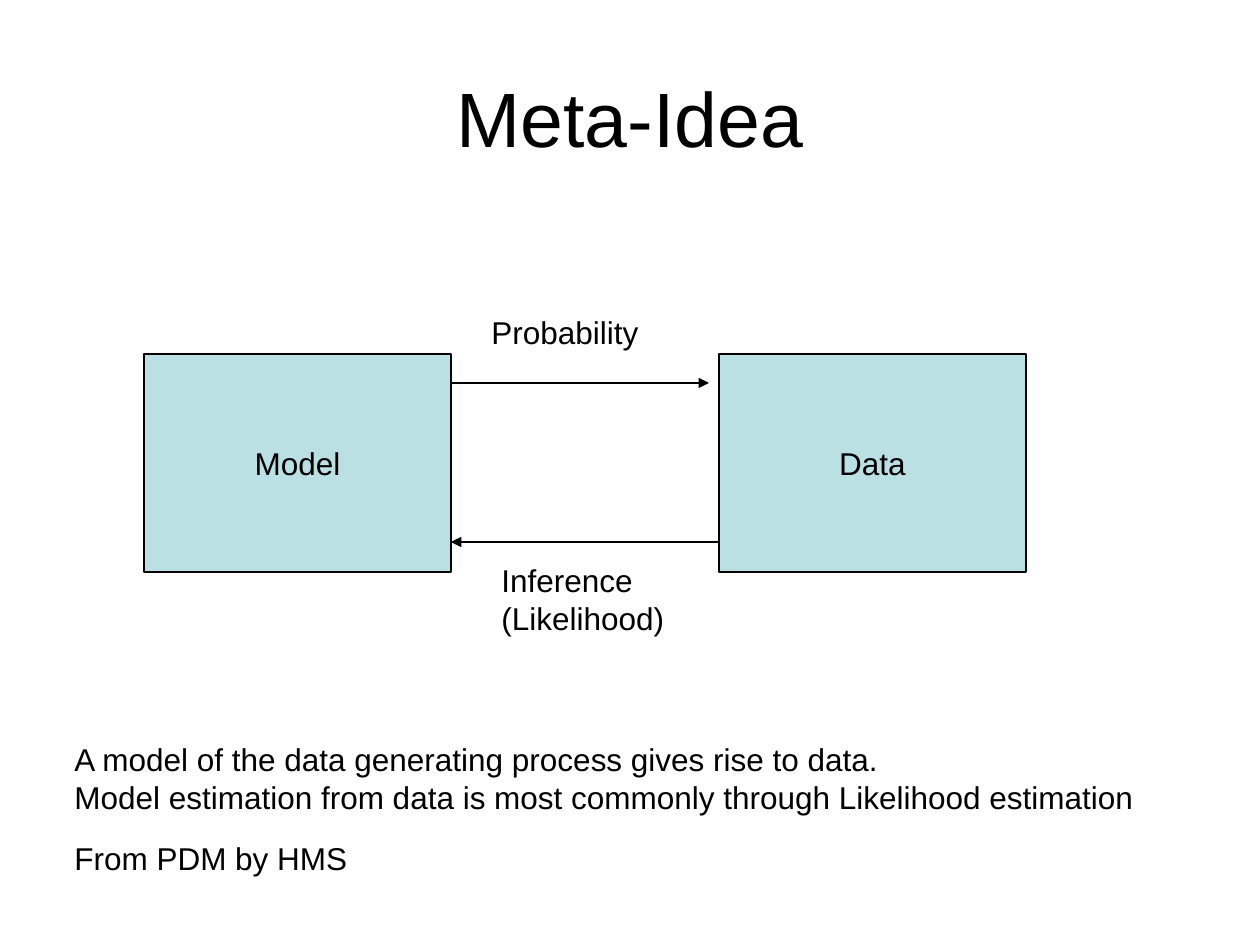
from dataclasses import dataclass

from lxml import etree
from pptx import Presentation
from pptx.dml.color import RGBColor
from pptx.enum import shapes, text
from pptx.oxml.ns import qn
from pptx.util import Emu, Pt

PX = 914400 / 126
BLACK = "000000"
FILL = "BBE0E3"
FONT = "Arial"
BOX_TOP, BOX_W, BOX_H = 354, 307, 218


@dataclass
class Box:
    left: int
    label: str


@dataclass
class Arrow:
    start: int
    end: int
    y: int


@dataclass
class Label:
    left: int
    top: int
    width: int
    height: int
    lines: tuple[str, ...]


BOXES = [Box(144, "Model"), Box(719, "Data")]
ARROWS = [Arrow(451, 709, 383), Arrow(719, 451, 542)]
LABELS = [
    Label(479, 307, 176, 50, ("Probability",)),
    Label(489, 555, 192, 88, ("Inference", "(Likelihood)")),
    Label(62, 833, 304, 50, ("From PDM by HMS",)),
    Label(62, 734, 1088, 88, (
        "A model of the data generating process gives rise to data.",
        "Model estimation from data is most commonly through Likelihood estimation",
    )),
]


def px(*values: int) -> list[Emu]:
    return [Emu(round(v * PX)) for v in values]


def color(value: str) -> RGBColor:
    return RGBColor.from_string(value)


def write(tf, lines: tuple[str, ...], size: int, align, anchor) -> None:
    tf.vertical_anchor = anchor
    for i, line in enumerate(lines):
        p = tf.add_paragraph() if i else tf.paragraphs[0]
        p.alignment = align
        r = p.add_run()
        r.text = line
        r.font.name = FONT
        r.font.size = Pt(size)
        r.font.color.rgb = color(BLACK)


def outline(line) -> None:
    line.color.rgb = color(BLACK)
    line.width = Pt(0.75)


def draw_title(s, title: str) -> None:
    sp = s.shapes.title
    sp.left, sp.top, sp.width, sp.height = px(63, 38, 1134, 157)
    write(sp.text_frame, (title,), 44, text.PP_ALIGN.CENTER, text.MSO_ANCHOR.MIDDLE)


def draw_box(s, box: Box) -> None:
    sp = s.shapes.add_shape(shapes.MSO_SHAPE.RECTANGLE, *px(box.left, BOX_TOP, BOX_W, BOX_H))
    sp.shadow.inherit = False
    sp.fill.solid()
    sp.fill.fore_color.rgb = color(FILL)
    outline(sp.line)
    sp.text_frame.word_wrap = False
    write(sp.text_frame, (box.label,), 18, text.PP_ALIGN.CENTER, text.MSO_ANCHOR.MIDDLE)


def draw_arrow(s, arrow: Arrow) -> None:
    sp = s.shapes.add_connector(
        shapes.MSO_CONNECTOR.STRAIGHT, *px(arrow.start, arrow.y, arrow.end, arrow.y))
    outline(sp.line)
    etree.SubElement(sp.line._get_or_add_ln(), qn("a:tailEnd"), type="triangle")
    etree.SubElement(sp._element.spPr, qn("a:effectLst"))


def draw_label(s, label: Label) -> None:
    sp = s.shapes.add_textbox(*px(label.left, label.top, label.width, label.height))
    tf = sp.text_frame
    tf.word_wrap = False
    tf.auto_size = text.MSO_AUTO_SIZE.NONE
    write(tf, label.lines, 18, text.PP_ALIGN.LEFT, text.MSO_ANCHOR.TOP)


def main() -> None:
    prs = Presentation()
    prs.slide_width, prs.slide_height = px(1260, 945)
    s = prs.slides.add_slide(prs.slide_layouts[5])
    draw_title(s, "Meta-Idea")
    for box in BOXES:
        draw_box(s, box)
    for arrow in ARROWS:
        draw_arrow(s, arrow)
    for label in LABELS:
        draw_label(s, label)
    prs.save("out.pptx")


if __name__ == "__main__":
    main()
